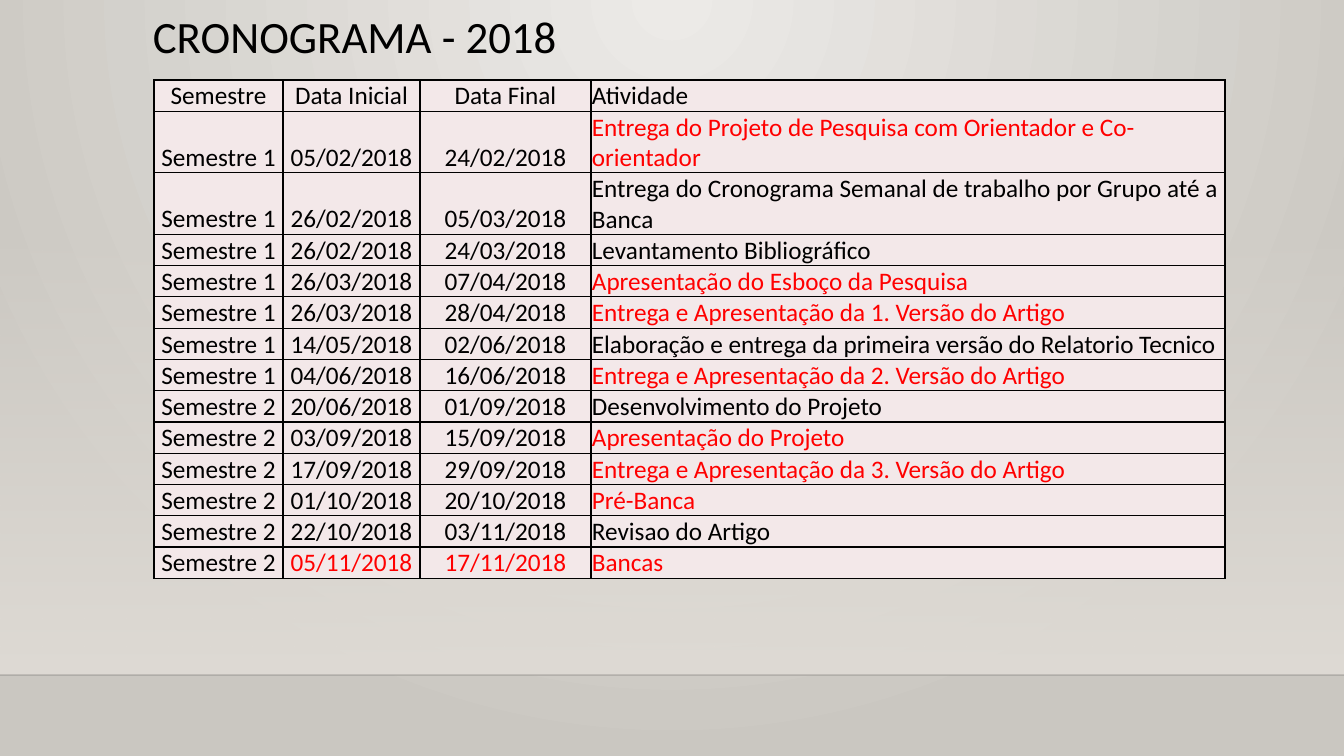
import pptx
import pptx.util
import pptx.dml.color
import pptx.enum.shapes
import pptx.enum.text
import pptx.oxml
import pptx.oxml.ns
from lxml import etree

RGBColor = pptx.dml.color.RGBColor
BLACK = RGBColor(0x00, 0x00, 0x00)
RED = RGBColor(0xFF, 0x00, 0x00)
ROSE = RGBColor(0xF3, 0xE8, 0xE9)
WALL_LIGHT = RGBColor(0xEC, 0xEA, 0xE7)
WALL_DARK = RGBColor(0xCA, 0xC7, 0xC1)
WALL_FADE = RGBColor(0xDF, 0xDB, 0xD5)
FONT = "Calibri"
NS = pptx.oxml.ns.nsdecls("a")
qn = pptx.oxml.ns.qn


def px(pixels):
    """Turn pixels (100.8 to the inch) into EMU."""
    return pptx.util.Emu(round(pixels * 914400 / 100.8))


def add_run(paragraph, text, size, color):
    """Add one formatted run to a paragraph."""
    run = paragraph.add_run()
    run.text = text
    run.font.name = FONT
    run.font.size = pptx.util.Pt(size)
    run.font.color.rgb = color


deck = pptx.Presentation()
deck.slide_width, deck.slide_height = px(1344), px(756)
slide = deck.slides.add_slide(deck.slide_layouts[6])

# Background: light spreading from the top centre
wall = slide.background.fill
wall.gradient()
for stop, color in zip(wall.gradient_stops, (WALL_LIGHT, WALL_DARK)):
    stop.color.rgb = color
direction = slide.element.find(".//" + qn("a:lin"))
direction.getparent().replace(direction, pptx.oxml.parse_xml(
    f'<a:path {NS} path="circle">'
    '<a:fillToRect l="43000" t="0" r="43000" b="100000"/></a:path>'))

# Wall fading in towards the floor line
fade = slide.shapes.add_shape(
    pptx.enum.shapes.MSO_SHAPE.RECTANGLE, 0, px(223), px(1344), px(452))
fade.shadow.inherit = False
fade.line.fill.background()
fade.fill.gradient()
fade.fill.gradient_angle = 270
for stop in fade.fill.gradient_stops:
    stop.color.rgb = WALL_FADE

floor = slide.shapes.add_connector(
    pptx.enum.shapes.MSO_CONNECTOR.STRAIGHT, 0, px(675), px(1344), px(675))
floor.line.color.rgb = BLACK
floor.line.width = pptx.util.Pt(1)
etree.SubElement(floor.element.spPr, qn("a:effectLst"))

# Opacity of the fade's first stop and of the floor line
for part, opacity in ((fade, 0), (floor, 20000)):
    tint = part.element.spPr.find(".//" + qn("a:srgbClr"))
    etree.SubElement(tint, qn("a:alpha")).set("val", str(opacity))

title = slide.shapes.add_textbox(px(143), px(10), px(1058), px(116)).text_frame
title.word_wrap = True
title.paragraphs[0].line_spacing = 0.9
add_run(title.paragraphs[0], "CRONOGRAMA - 2018", 32, BLACK)

# Schedule: semester, start, end, activity, colour of dates, colour of activity
S1, S2 = "Semestre 1", "Semestre 2"
schedule_rows = [
    ("Semestre", "Data Inicial", "Data Final", "Atividade", BLACK, BLACK),
    (S1, "05/02/2018", "24/02/2018",
     "Entrega do Projeto de Pesquisa com Orientador e Co-orientador", BLACK, RED),
    (S1, "26/02/2018", "05/03/2018",
     "Entrega do Cronograma Semanal de trabalho por Grupo até a Banca", BLACK, BLACK),
    (S1, "26/02/2018", "24/03/2018", "Levantamento Bibliográfico", BLACK, BLACK),
    (S1, "26/03/2018", "07/04/2018", "Apresentação do Esboço da Pesquisa", BLACK, RED),
    (S1, "26/03/2018", "28/04/2018",
     "Entrega e Apresentação da 1. Versão do Artigo", BLACK, RED),
    (S1, "14/05/2018", "02/06/2018",
     "Elaboração e entrega da primeira versão do Relatorio Tecnico", BLACK, BLACK),
    (S1, "04/06/2018", "16/06/2018",
     "Entrega e Apresentação da 2. Versão do Artigo", BLACK, RED),
    (S2, "20/06/2018", "01/09/2018", "Desenvolvimento do Projeto", BLACK, BLACK),
    (S2, "03/09/2018", "15/09/2018", "Apresentação do Projeto", BLACK, RED),
    (S2, "17/09/2018", "29/09/2018",
     "Entrega e Apresentação da 3. Versão do Artigo", BLACK, RED),
    (S2, "01/10/2018", "20/10/2018", "Pré-Banca", BLACK, RED),
    (S2, "22/10/2018", "03/11/2018", "Revisao do Artigo", BLACK, BLACK),
    (S2, "05/11/2018", "17/11/2018", "Bancas", RED, RED),
]
column_widths = (129, 137, 171, 634)
schedule_frame = slide.shapes.add_table(
    len(schedule_rows), len(column_widths), px(154), px(80), px(1071), px(499))
schedule = schedule_frame.table
for column, width in zip(schedule.columns, column_widths):
    column.width = px(width)
for row in schedule.rows:
    row.height = px(21)  # rows grow to fit their text
schedule_frame.height = px(499)

for row, (*entries, date_color, activity_color) in zip(schedule.rows, schedule_rows):
    colors = (BLACK, date_color, date_color, activity_color)
    for index, (cell, entry, color) in enumerate(zip(row.cells, entries, colors)):
        cell.fill.solid()
        cell.fill.fore_color.rgb = ROSE
        cell.margin_left = cell.margin_right = cell.margin_top = px(1)
        cell.margin_bottom = 0
        cell.vertical_anchor = pptx.enum.text.MSO_ANCHOR.BOTTOM
        paragraph = cell.text_frame.paragraphs[0]
        if index < 3:
            paragraph.alignment = pptx.enum.text.PP_ALIGN.CENTER
        add_run(paragraph, entry, 18, color)
        properties = cell._tc.get_or_add_tcPr()
        for position, side in enumerate(("lnL", "lnR", "lnT", "lnB")):
            properties.insert(position, pptx.oxml.parse_xml(
                f'<a:{side} {NS} w="12700"><a:solidFill>'
                f'<a:srgbClr val="{BLACK}"/></a:solidFill></a:{side}>'))

deck.save("out.pptx")
